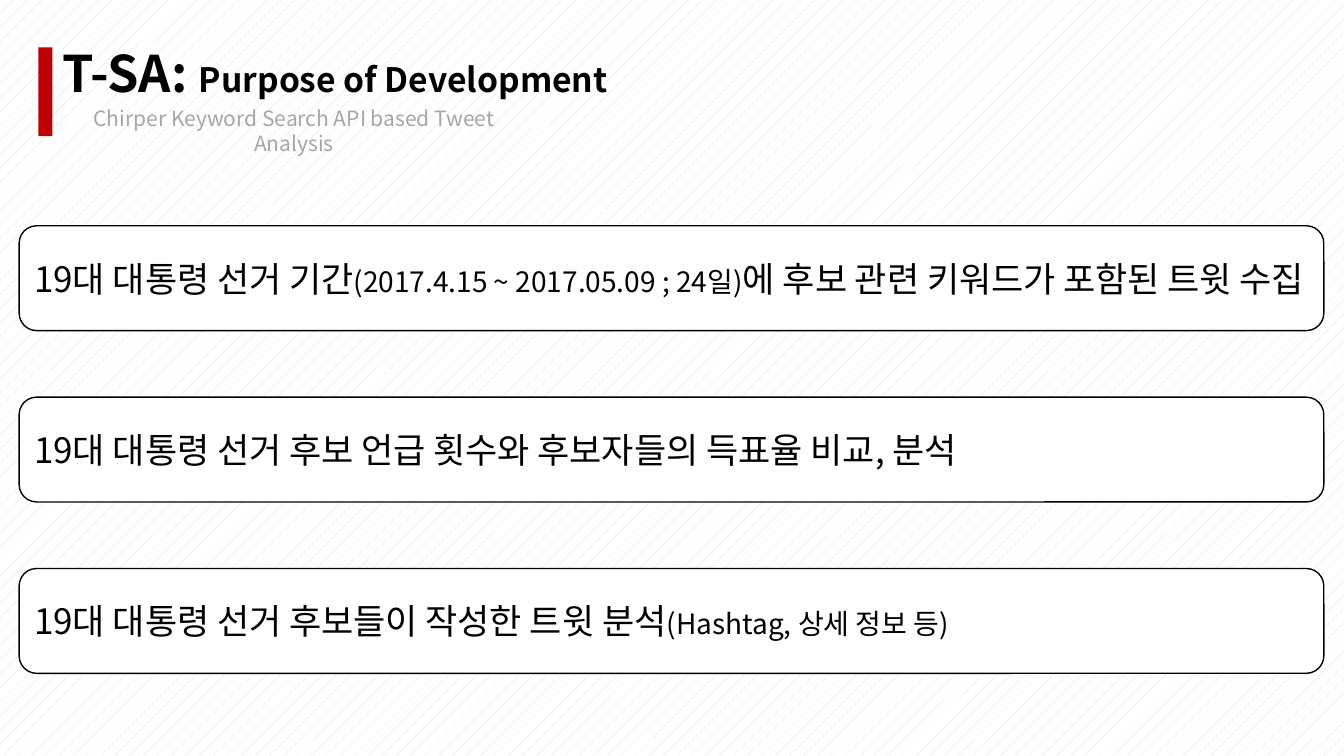
from lxml.etree import SubElement
from pptx import Presentation
from pptx.dml.color import RGBColor
from pptx.enum.dml import MSO_PATTERN
from pptx.enum.shapes import MSO_SHAPE as Shape
from pptx.enum.text import MSO_ANCHOR as Anchor, PP_ALIGN as Align
from pptx.oxml.ns import qn
from pptx.util import Inches, Pt

FONT = "Noto Sans CJK KR"
PURPOSES = [
    [("19대 대통령 선거 기간", 25), ("(2017.4.15 ~ 2017.05.09 ; 24일)", 20),
     ("에 후보 관련 키워드가 포함된 트윗 수집", 25)],
    [("19대 대통령 선거 후보 언급 횟수와 후보자들의 득표율 비교, 분석", 25)],
    [("19대 대통령 선거 후보들이 작성한 트윗 분석", 25),
     ("(Hashtag, 상세 정보 등)", 20)],
]


def color(value):
    return RGBColor.from_string(value)


def write(frame, pieces, fill="000000", bold=False, align=Align.LEFT, anchor=Anchor.TOP):
    frame.word_wrap = True
    frame.vertical_anchor = anchor
    paragraph = frame.paragraphs[0]
    paragraph.alignment = align
    for words, size in pieces:
        run = paragraph.add_run()
        run.text = words
        run.font.name = FONT
        run.font.size = Pt(size)
        run.font.bold = bold
        run.font.color.rgb = color(fill)
        SubElement(run.font._element, qn("a:ea"), typeface=FONT)


def add_label(slide, left, top, width, height, pieces, **style):
    label = slide.shapes.add_textbox(Inches(left), Inches(top), Inches(width), Inches(height))
    write(label.text_frame, pieces, **style)


def add_block(slide, preset, left, top, width, height, fill, outline=None):
    block = slide.shapes.add_shape(
        preset, Inches(left), Inches(top), Inches(width), Inches(height))
    block.shadow.inherit = False
    block.fill.solid()
    block.fill.fore_color.rgb = color(fill)
    if outline:
        block.line.color.rgb = color(outline)
        block.line.width = Pt(1)
    else:
        block.line.fill.background()
    return block


def set_background(slide):
    backdrop = slide.background.fill
    backdrop.patterned()
    backdrop.pattern = MSO_PATTERN.PERCENT_5
    backdrop.fore_color.rgb = color("E3D9D7")
    backdrop.back_color.rgb = color("FFFFFF")


def main():
    deck = Presentation()
    deck.slide_width, deck.slide_height = Inches(13.33), Inches(7.5)
    slide = deck.slides.add_slide(deck.slide_layouts[6])
    set_background(slide)

    add_block(slide, Shape.RECTANGLE, 0.38, 0.47, 0.14, 0.88, "C00000")
    add_label(slide, 0.52, 0.37, 7.69, 1.18,
              [("T-SA: ", 36), ("Purpose of Development", 24)], bold=True)
    add_label(slide, 0.52, 1, 4.79, 0.35,
              [("Chirper Keyword Search API based Tweet Analysis", 15)],
              fill="A6A6A6", align=Align.CENTER)

    for row, pieces in enumerate(PURPOSES):
        purpose = add_block(slide, Shape.ROUNDED_RECTANGLE, 0.19, 2.24 + 1.7 * row,
                            12.94, 1.04, "FFFFFF", outline="000000")
        write(purpose.text_frame, pieces, anchor=Anchor.MIDDLE)

    deck.save("out.pptx")


if __name__ == "__main__":
    main()
